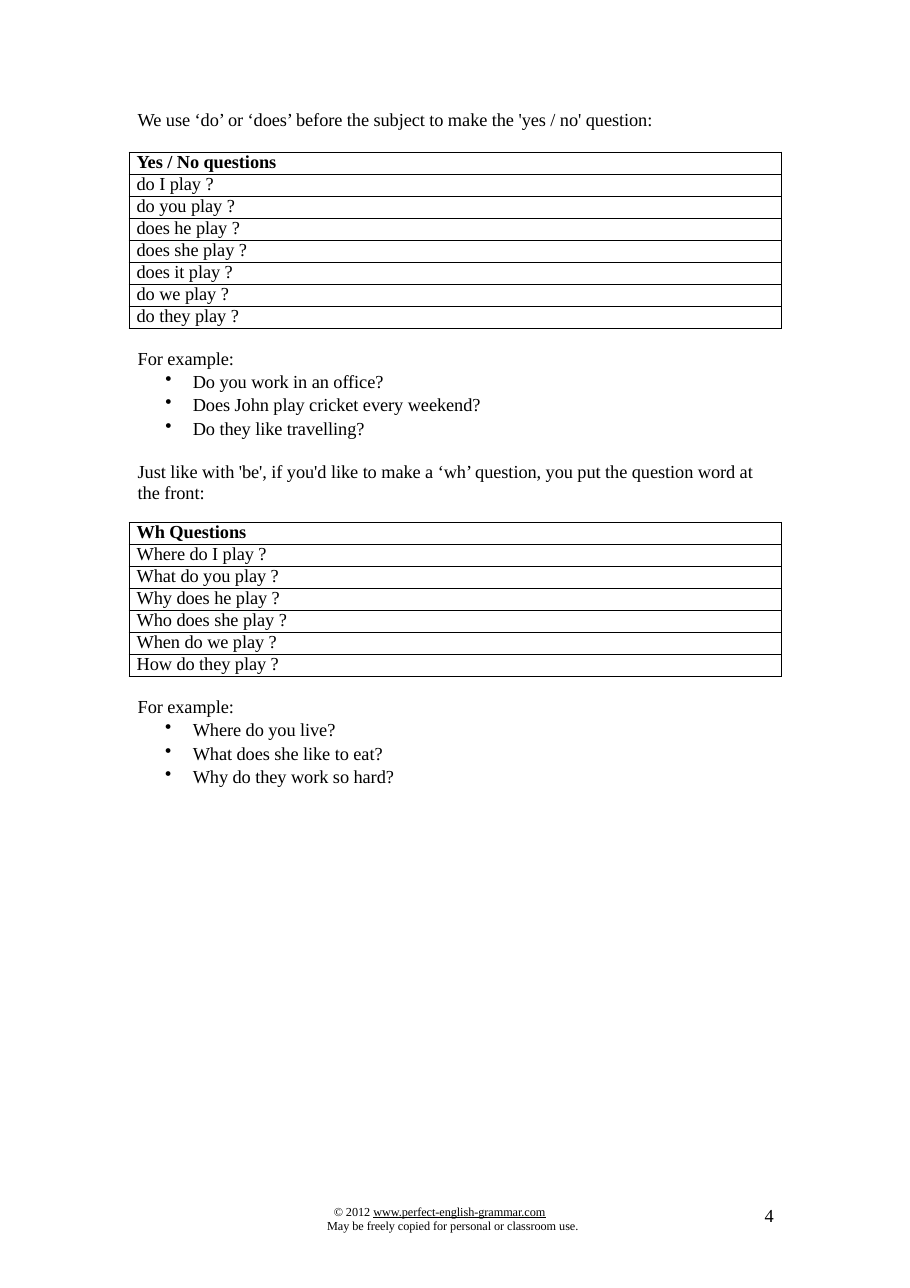
import dataclasses
import pptx
import pptx.dml.color
import pptx.util
import pptx.enum.text
import pptx.oxml
import pptx.oxml.ns
import lxml.etree

Inches = pptx.util.Inches
Pt = pptx.util.Pt


@dataclasses.dataclass
class Theme:
    font: str = "Times New Roman"
    ink: str = "000000"
    body: float = 12
    small: float = 8
    border: float = 0.48
    tracking: int = -5


theme = Theme()

PAGE = (8.26, 11.69)
TEXT_LEFT, TABLE_LEFT, TABLE_WIDTH, ROW_HEIGHT = 1.24, 1.17, 5.92, 0.2

INTRO = "We use ‘do’ or ‘does’ before the subject to make the 'yes / no' question:"
EXAMPLE = "For example:"
WH_INTRO = ("Just like with 'be', if you'd like to make a ‘wh’ question, "
            "you put the question word at the front:")
YES_NO_EXAMPLES = ["Do you work in an office?", "Does John play cricket every weekend?",
                   "Do they like travelling?"]
WH_EXAMPLES = ["Where do you live?", "What does she like to eat?", "Why do they work so hard?"]
TABLES = [
    (1.38, ["Yes / No questions", "do I play ?", "do you play ?", "does he play ?",
            "does she play ?", "does it play ?", "do we play ?", "do they play ?"]),
    (4.74, ["Wh Questions", "Where do I play ?", "What do you play ?", "Why does he play ?",
            "Who does she play ?", "When do we play ?", "How do they play ?"]),
]


def line(text, indent=0.01, **style):
    return dict(text=text, indent=indent, **style)


def example(items):
    return [line(EXAMPLE)] + [line(t, 0.51, bullet=True, before=0.8) for t in items]


BOXES = [
    ((2.96, 10.93, 2.34, 0.28), [
        line("© 2012 ", 0.07, link="www.perfect-english-grammar.com",
             size=theme.small, spacing=9.3),
        line("May be freely copied for personal or classroom use.",
             size=theme.small, spacing=9.3)]),
    ((6.91, 10.93, 0.14, 0.21), [line("4", 0.03, spacing=14.1)]),
    ((TEXT_LEFT, 0.98, 4.8, 0.22), [line(INTRO)]),
    ((TEXT_LEFT, 3.15, 5.69, 1.4),
     example(YES_NO_EXAMPLES) + [line(WH_INTRO, before=14.4, spacing=13.8)]),
    ((TEXT_LEFT, 6.31, 2.37, 0.83), example(WH_EXAMPLES)),
]


def add_xml(parent, tag, **attrs):
    return lxml.etree.SubElement(parent, pptx.oxml.ns.qn(tag), attrs)


def write(p, text, indent, link="", size=theme.body, bold=False, spacing=None,
          before=0, bullet=False):
    p.text = text
    if link:
        p.add_run().text = link
        p.runs[-1].font.underline = True
    pPr = p._p.get_or_add_pPr()
    pPr.set("marL", str(Inches(indent)))
    pPr.set("indent", str(Inches(-0.25 if bullet else 0)))
    if bullet:
        add_xml(pPr, "a:buChar", char="•")
    if before:
        p.space_before = Pt(before)
    if spacing:
        p.line_spacing = Pt(spacing)
    for r in p.runs:
        r.font.name = theme.font
        r.font.size = Pt(size)
        r.font.bold = bold
        r.font.color.rgb = pptx.dml.color.RGBColor.from_string(theme.ink)
        r._r.get_or_add_rPr().set("spc", str(theme.tracking))


def add_text(s, place, lines):
    tf = s.shapes.add_textbox(*map(Inches, place)).text_frame
    tf.word_wrap = True
    tf.margin_left = tf.margin_top = tf.margin_right = tf.margin_bottom = 0
    for i, item in enumerate(lines):
        write(tf.add_paragraph() if i else tf.paragraphs[0], **item)


def add_borders(cell):
    tcPr = cell._tc.get_or_add_tcPr()
    for side in ("a:lnL", "a:lnR", "a:lnT", "a:lnB"):
        ln = add_xml(tcPr, side, w=str(Pt(theme.border)))
        add_xml(add_xml(ln, "a:solidFill"), "a:srgbClr", val=theme.ink)


def add_question_table(s, top, rows):
    table = s.shapes.add_table(len(rows), 1, Inches(TABLE_LEFT), Inches(top),
                               Inches(TABLE_WIDTH), Inches(ROW_HEIGHT * len(rows))).table
    table.first_row = table.horz_banding = False
    for i, text in enumerate(rows):
        cell = table.cell(i, 0)
        cell.margin_left = cell.margin_top = cell.margin_right = cell.margin_bottom = 0
        write(cell.text_frame.paragraphs[0], text, 0.07, bold=i == 0,
              spacing=13.2 if i else 13.4)
        add_borders(cell)
        cell.fill.background()


def main():
    prs = pptx.Presentation()
    prs.slide_width, prs.slide_height = map(Inches, PAGE)
    s = prs.slides.add_slide(prs.slide_layouts[6])
    for place, lines in BOXES:
        add_text(s, place, lines)
    for top, rows in TABLES:
        add_question_table(s, top, rows)
    prs.save("out.pptx")


if __name__ == "__main__":
    main()
